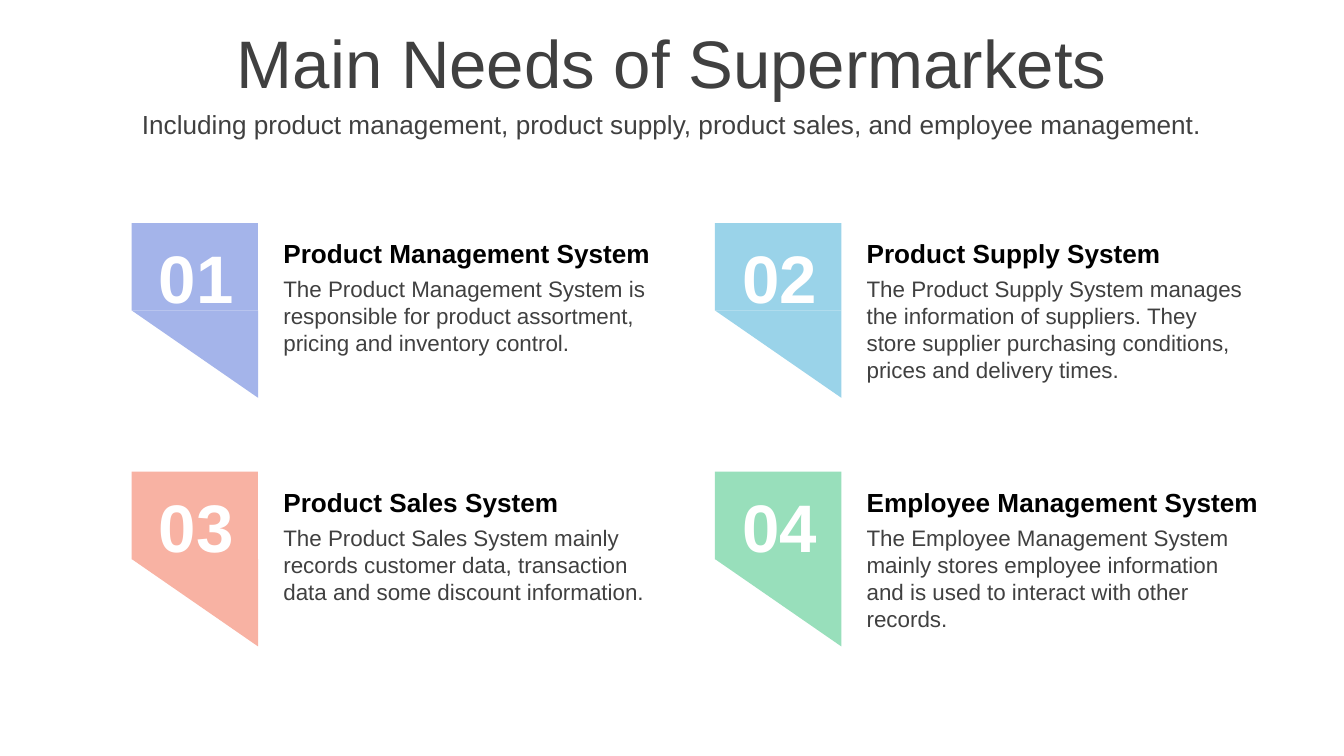
"""Build the slide on the main needs of supermarkets."""
from pptx import Presentation
from pptx.dml.color import RGBColor
from pptx.enum.shapes import MSO_SHAPE as Shape
from pptx.enum.text import MSO_ANCHOR as Anchor, MSO_AUTO_SIZE as AutoSize, PP_ALIGN as Align
from pptx.util import Inches, Pt

COLORS = {
    "text": "404040", "heading": "000000", "number": "FFFFFF",
    "violet": "A4B4EA", "blue": "9AD3E9", "coral": "F8B2A3", "green": "98DFBB",
}
WIDTH = 10
HEIGHT = WIDTH * 9 / 16
LEFT, TOP = 0.98, 1.66
COLUMN_STEP, ROW_STEP = 4.34, 1.85
BADGE_WIDTH, BADGE_HALF = 0.94, 0.65

SYSTEMS = [
    ("violet", 3.15, 0.71, "Product Management System",
     "The Product Management System is responsible for product assortment, "
     "pricing and inventory control."),
    ("blue", 3.06, 1.11, "Product Supply System",
     "The Product Supply System manages the information of suppliers. They store "
     "supplier purchasing conditions, prices and delivery times."),
    ("coral", 2.91, 0.71, "Product Sales System",
     "The Product Sales System mainly records customer data, transaction data "
     "and some discount information."),
    ("green", 3.14, 0.71, "Employee Management System",
     "The Employee Management System mainly stores employee information "
     "and is used to interact with other records."),
]


def write(text, area, shapes=None, box=None, size=12, color="text", bold=False,
          align=Align.LEFT, anchor=Anchor.TOP, before=None):
    lengths = [Inches(length) for length in area]
    if box is None:
        box = shapes.add_textbox(*lengths)
    else:
        box.left, box.top, box.width, box.height = lengths
    frame = box.text_frame
    frame.word_wrap = True
    frame.auto_size = AutoSize.NONE
    frame.vertical_anchor = anchor
    para = frame.paragraphs[0]
    para.alignment = align
    if before is not None:
        para.space_before = Pt(before)
    span = para.add_run()
    span.text = text
    span.font.name = "Arial"
    span.font.size = Pt(size)
    span.font.bold = bold
    span.font.color.rgb = RGBColor.from_string(COLORS[color])


deck = Presentation()
deck.slide_width, deck.slide_height = Inches(WIDTH), Inches(HEIGHT)
page = deck.slides.add_slide(deck.slide_layouts[0])
title, subtitle = page.placeholders

write("Main Needs of Supermarkets", (0, 0.14, WIDTH, 0.63), box=title,
      size=36, align=Align.CENTER, anchor=Anchor.MIDDLE, before=5)
write("Including product management, product supply, product sales, and employee management.",
      (0, 0.77, WIDTH, 0.31), box=subtitle,
      size=14, align=Align.CENTER, anchor=Anchor.MIDDLE)

for index, (color, width, height, heading, description) in enumerate(SYSTEMS):
    row, column = divmod(index, 2)
    x = LEFT + column * COLUMN_STEP
    y = TOP + row * ROW_STEP

    badge = page.shapes.add_group_shape()
    for half, kind in enumerate((Shape.RECTANGLE, Shape.ISOSCELES_TRIANGLE)):
        part = badge.shapes.add_shape(
            kind, Inches(x), Inches(y + half * BADGE_HALF),
            Inches(BADGE_WIDTH), Inches(BADGE_HALF))
        part.shadow.inherit = False
        part.fill.solid()
        part.fill.fore_color.rgb = RGBColor.from_string(COLORS[color])
        part.line.fill.background()
        if kind == Shape.ISOSCELES_TRIANGLE:
            part.adjustments[0] = 0
            part.rotation = 180

    texts = page.shapes.add_group_shape()
    write(description, (x + 1.03, y + 0.34, width, height), texts.shapes)
    write(heading, (x + 1.03, y + 0.06, width, 0.34), texts.shapes,
          size=14, color="heading", bold=True)

    write(f"{index + 1:02d}", (x + 0.09, y + 0.05, 0.78, 0.71), page.shapes,
          size=36, color="number", bold=True, align=Align.CENTER)

deck.save("out.pptx")
